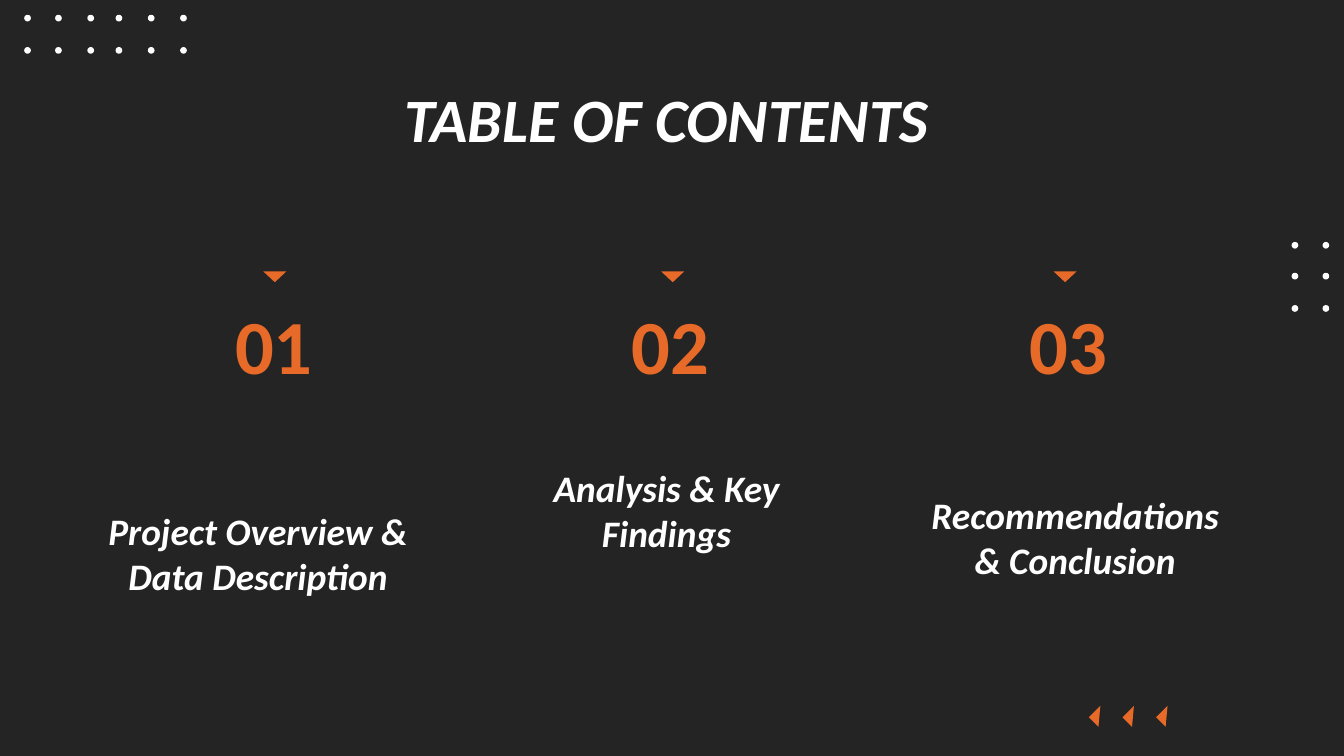
from itertools import product

from pptx import Presentation
from pptx.dml.color import RGBColor
from pptx.enum.shapes import MSO_SHAPE as Shape
from pptx.enum.text import MSO_ANCHOR as Anchor, PP_ALIGN as Align
from pptx.util import Inches, Pt

BACKGROUND = RGBColor(0x24, 0x24, 0x24)
ORANGE = RGBColor(0xE7, 0x6A, 0x28)
WHITE = RGBColor(0xFF, 0xFF, 0xFF)
FONT = "Calibri"
SLIDE_WIDTH = 10

# Number, number box (left, width), marker left, topic, topic box
SECTIONS = [
    ("01", (1.36, 1.36), 1.96, "Project Overview & Data Description", (0.7, 2.94, 2.44, 1.61)),
    ("02", (4.31, 1.36), 4.92, "Analysis & Key Findings", (3.74, 3.22, 2.44, 1.01)),
    ("03", (7.35, 1.2), 7.84, "Recommendations & Conclusion", (6.78, 3.29, 2.44, 1.14)),
]


def add_solid(slide, kind, box, color, rotation=0):
    """Add a preset shape with a plain fill and no outline."""
    shape = slide.shapes.add_shape(kind, *map(Inches, box))
    shape.shadow.inherit = False
    shape.fill.solid()
    shape.fill.fore_color.rgb = color
    shape.line.fill.background()
    shape.rotation = rotation


def add_dots(slide, lefts, tops):
    for top, left in product(tops, lefts):
        add_solid(slide, Shape.OVAL, (left, top, 0.05, 0.05), WHITE)


def add_text(slide, text, box, size, color, anchor, italic=True):
    frame = slide.shapes.add_textbox(*map(Inches, box)).text_frame
    frame.word_wrap = True
    frame.vertical_anchor = anchor
    frame.margin_left = frame.margin_right = Inches(0.1)
    frame.margin_top = frame.margin_bottom = Inches(0.1)
    paragraph = frame.paragraphs[0]
    paragraph.text = text
    paragraph.alignment = Align.CENTER
    font = paragraph.font
    font.name = FONT
    font.size = Pt(size)
    font.bold = True
    font.italic = italic
    font.color.rgb = color


def add_section(slide, number, number_span, marker_left, topic, topic_box):
    left, width = number_span
    add_text(slide, number, (left, 2.19, width, 0.74), 41, ORANGE, Anchor.MIDDLE, italic=False)
    add_text(slide, topic, topic_box, 20, WHITE, Anchor.BOTTOM)
    add_solid(slide, Shape.ISOSCELES_TRIANGLE, (marker_left, 2.02, 0.17, 0.08), ORANGE, 180)


def main():
    presentation = Presentation()
    presentation.slide_width = Inches(SLIDE_WIDTH)
    presentation.slide_height = Inches(SLIDE_WIDTH * 9 / 16)
    slide = presentation.slides.add_slide(presentation.slide_layouts[6])
    slide.background.fill.solid()
    slide.background.fill.fore_color.rgb = BACKGROUND

    for index in range(3):
        box = (8.13 + 0.25 * index, 5.27, 0.1, 0.12)
        add_solid(slide, Shape.RIGHT_TRIANGLE, box, ORANGE, 45)
    add_dots(slide, (9.61, 9.84), (1.8, 2.03, 2.27))
    add_dots(slide, (0.18, 0.41, 0.65, 0.86, 1.1, 1.34), (0.11, 0.35))

    add_text(slide, "TABLE OF CONTENTS", (0.79, 0.5, 8.34, 0.62), 33, WHITE, Anchor.TOP)
    for section in SECTIONS:
        add_section(slide, *section)

    presentation.save("out.pptx")


if __name__ == "__main__":
    main()
